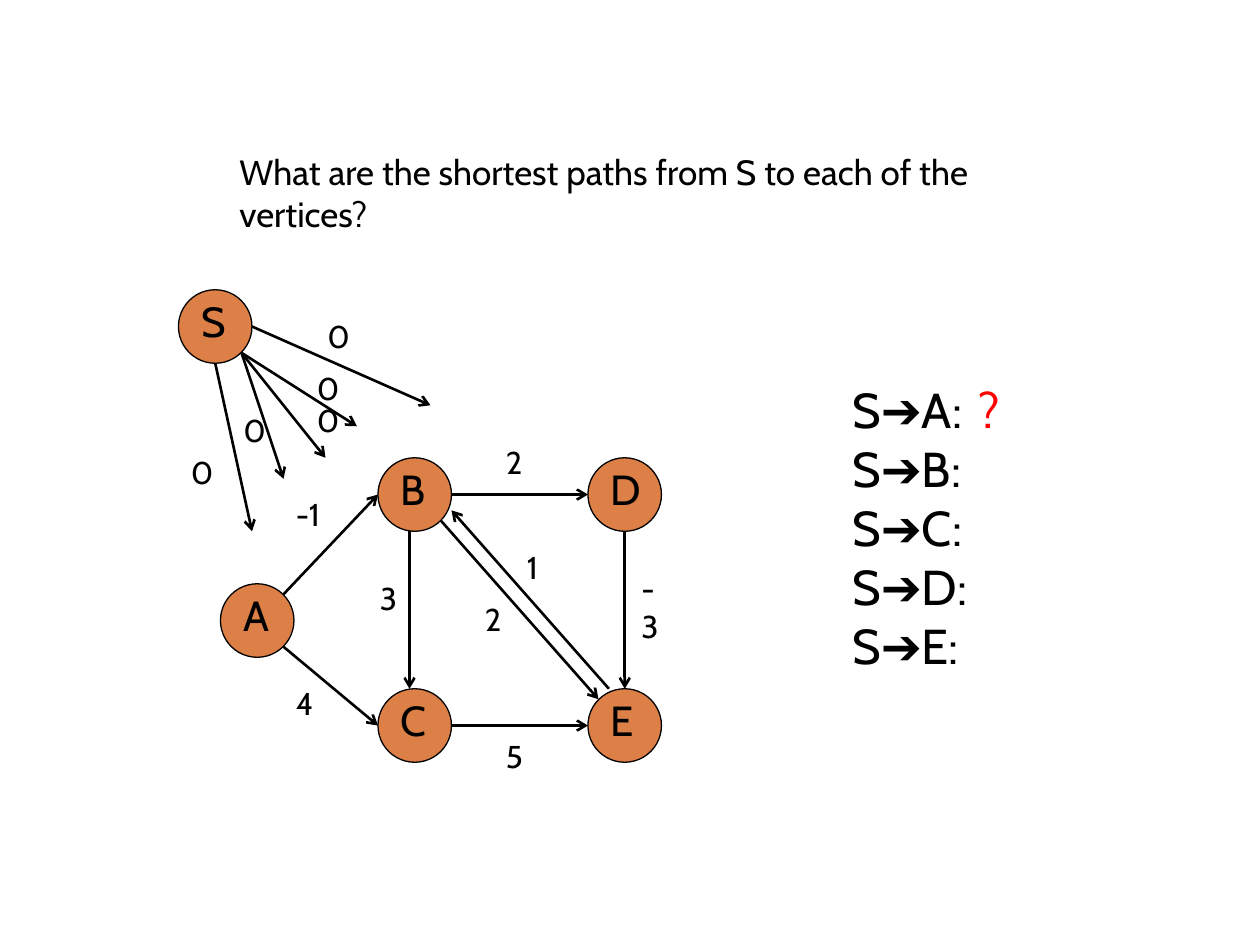
from lxml import etree
from pptx import Presentation
from pptx.dml.color import RGBColor
from pptx.enum.shapes import MSO_CONNECTOR, MSO_SHAPE
from pptx.enum.text import MSO_ANCHOR, MSO_AUTO_SIZE, PP_ALIGN
from pptx.oxml.ns import qn
from pptx.util import Inches, Pt

OVAL = MSO_SHAPE.OVAL
STRAIGHT = MSO_CONNECTOR.STRAIGHT
LEFT = PP_ALIGN.LEFT
TOP = MSO_ANCHOR.TOP
NO_AUTOFIT = MSO_AUTO_SIZE.NONE

BLACK = RGBColor(0x00, 0x00, 0x00)
RED = RGBColor(0xFF, 0x00, 0x00)
ORANGE = RGBColor(0xDD, 0x80, 0x47)
FONT = "Cabin"
ARROW_FONT = "Arial"

# The grid has twelve cells to the inch; its rows start slightly below the slide's top.
CELLS_PER_INCH = 12
ROW_OFFSET = 0.05
NODE_SIZE = 7

# Column and row of each node's upper left corner
NODES = {"S": (17, 27), "A": (21, 55), "B": (36, 43),
         "C": (36, 65), "E": (56, 65), "D": (56, 43)}

# Places on a node's rim, in cells from its upper left corner
RIM = {"top": (3.5, 0), "left": (0, 3.5), "bottom": (3.5, 7), "right": (7, 3.5),
       "top left": (1, 1), "top right": (6, 1), "bottom right": (6, 6)}

# Start, end, weight, weight's cell; an end is a (node, rim place) pair or a cell
EDGES = [
    (("A", "top right"), ("B", "left"), "-1", (27, 46)),
    (("A", "bottom right"), ("C", "left"), "4", (27, 64)),
    (("B", "right"), ("D", "left"), "2", (47, 41)),
    (("D", "bottom"), ("E", "top"), "-3", (59.9, 53)),
    ((58, 65), (43, 48), "1", (49, 51)),
    (("B", "bottom right"), ("E", "top left"), "2", (45, 56)),
    (("C", "right"), ("E", "left"), "5", (47, 69)),
    ((39, 50), (39, 65), "3", (35, 54)),
    (("S", "bottom"), (24, 50), "0", (17, 42)),
    (("S", "bottom right"), (34, 40), "0", (29, 34)),
    (("S", "right"), (41, 38), "0", (30, 29)),
    (("S", "bottom right"), (31, 43), "0", (29, 37)),
    (("S", "bottom right"), (27, 45), "0", (22, 38)),
]


def cells(count):
    return Inches(count / CELLS_PER_INCH)


def position(column, row):
    return cells(column), cells(row) + Inches(ROW_OFFSET)


def resolve(end):
    """Return the cell of an edge's end."""
    if end[0] not in NODES:
        return end
    node, place = end
    return tuple(start + shift for start, shift in zip(NODES[node], RIM[place]))


def add_run(paragraph, text, size, color=BLACK, font=FONT):
    run = paragraph.add_run()
    run.text = text
    formats = {"size": Pt(size), "name": font, "bold": False}
    for name, value in formats.items():
        setattr(run.font, name, value)
    run.font.color.rgb = color


def add_text_box(shapes, cell, width, height, wrap=True):
    box = shapes.add_textbox(*position(*cell), cells(width), cells(height))
    box.text_frame.word_wrap = wrap
    return box.text_frame


def add_title(slide, text):
    title = slide.shapes.title
    left, top = position(21.6, 13.1)
    place = {"left": left, "top": top, "width": cells(80.2), "height": cells(8.5)}
    for name, value in place.items():
        setattr(title, name, value)
    frame = title.text_frame
    for name, value in {"vertical_anchor": TOP, "auto_size": NO_AUTOFIT,
                        "word_wrap": True}.items():
        setattr(frame, name, value)
    paragraph = frame.paragraphs[0]
    paragraph.alignment = LEFT
    paragraph.space_before = Pt(7)
    add_run(paragraph, text, 20)


def add_node(slide, name, cell):
    group = slide.shapes.add_group_shape()
    size = cells(NODE_SIZE)
    circle = group.shapes.add_shape(OVAL, *position(*cell), size, size)
    circle.shadow.inherit = False
    circle.fill.solid()
    circle.fill.fore_color.rgb = ORANGE
    circle.line.color.rgb = BLACK
    circle.line.width = Pt(0.75)
    column, row = cell
    frame = add_text_box(group.shapes, (column + 1, row), 6, 6)
    add_run(frame.paragraphs[0], name, 24)


def add_edge(slide, start, end):
    edge = slide.shapes.add_connector(
        STRAIGHT, *position(*resolve(start)), *position(*resolve(end)))
    edge.line.color.rgb = BLACK
    edge.line.width = Pt(1.5)
    line = edge.line._get_or_add_ln()
    etree.SubElement(line, qn("a:tailEnd"), type="arrow")
    etree.SubElement(edge._element.spPr, qn("a:effectLst"))


def add_weight(slide, weight, cell):
    # The narrow box breaks -3 after its sign, beside the edge from D to E.
    wrap = weight == "-3"
    width = 5.2 if weight == "-1" else 4
    frame = add_text_box(slide.shapes, cell, width, 4.8, wrap)
    add_run(frame.paragraphs[0], weight, 18)


def add_answers(slide):
    frame = add_text_box(slide.shapes, (80, 35), 31, 29.5)
    for index, target in enumerate("ABCDE"):
        paragraph = frame.add_paragraph() if index else frame.paragraphs[0]
        add_run(paragraph, "S", 28)
        add_run(paragraph, "➔", 28, font=ARROW_FONT)
        add_run(paragraph, f"{target}:" if index else f"{target}:\t", 28)
        if index == 0:
            add_run(paragraph, "?", 28, RED)


def main():
    presentation = Presentation()
    presentation.slide_width = Inches(10)
    presentation.slide_height = Inches(7.5)
    slide = presentation.slides.add_slide(presentation.slide_layouts.get_by_name("Title Only"))
    add_title(slide, "What are the shortest paths from S to each of the vertices?")
    for name, cell in NODES.items():
        add_node(slide, name, cell)
    for start, end, weight, cell in EDGES:
        add_edge(slide, start, end)
        add_weight(slide, weight, cell)
    add_answers(slide)
    presentation.save("out.pptx")


if __name__ == "__main__":
    main()
